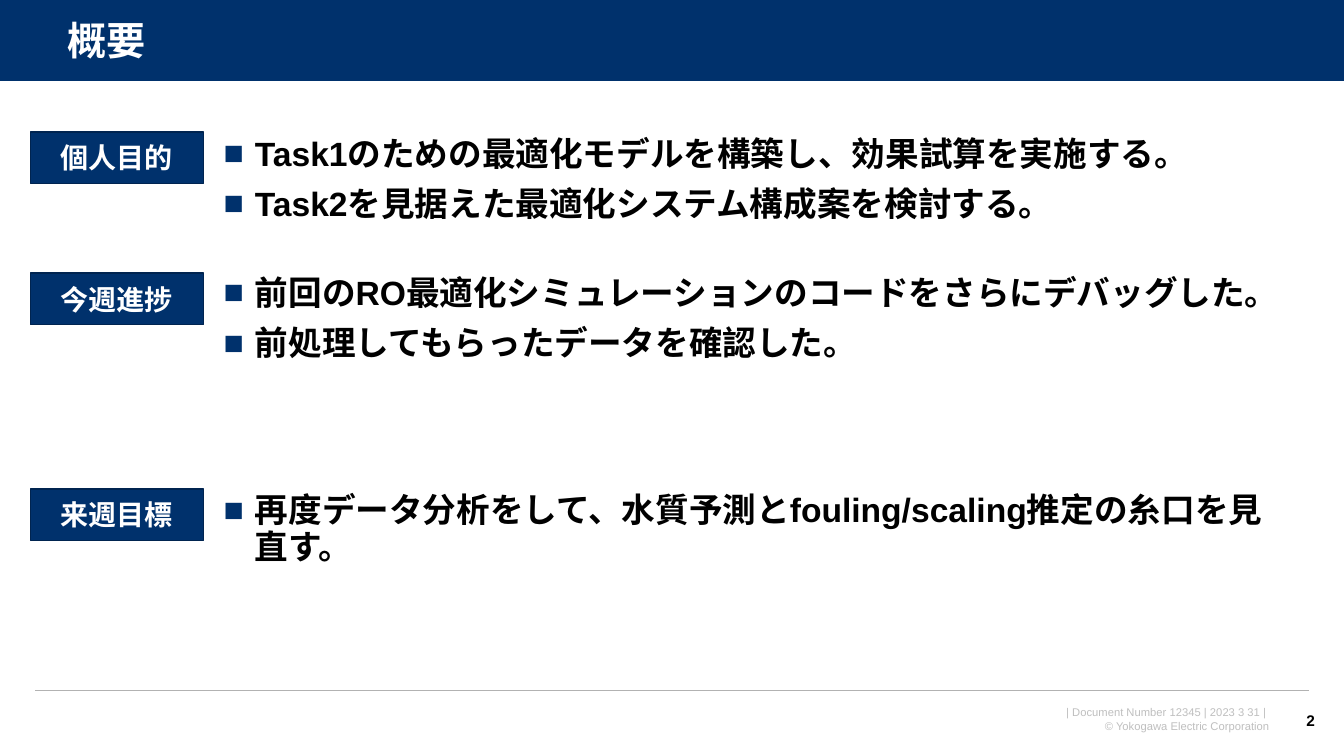
from dataclasses import dataclass

from lxml import etree
from pptx import Presentation
from pptx.dml.color import RGBColor
from pptx.enum.shapes import MSO_CONNECTOR, MSO_SHAPE
from pptx.enum.text import MSO_ANCHOR, PP_ALIGN
from pptx.oxml.ns import qn
from pptx.util import Emu, Inches, Pt

RECT = MSO_SHAPE.RECTANGLE
STRAIGHT = MSO_CONNECTOR.STRAIGHT
TOP, MIDDLE = MSO_ANCHOR.TOP, MSO_ANCHOR.MIDDLE
LEFT, CENTER, RIGHT = PP_ALIGN.LEFT, PP_ALIGN.CENTER, PP_ALIGN.RIGHT

WIDE, HIGH = Inches(13.33), Inches(7.5)
FONT = "Arial"
INDENT = Inches(0.31)
COLORS = {
    "navy": "00316C",
    "edge": "002450",
    "white": "FFFFFF",
    "black": "000000",
    "rule": "B2B2B2",
    "pale": "BFBFBF",
}


@dataclass(frozen=True)
class Box:
    """Left, top, width and height in percent of the slide."""
    left: float
    top: float
    width: float
    height: float

    def place(self) -> tuple[Emu, Emu, Emu, Emu]:
        return (across(self.left), down(self.top),
                across(self.width), down(self.height))


@dataclass(frozen=True)
class Topic:
    label: str
    tag: Box
    body: Box
    points: tuple[str, ...]


def across(share: float) -> Emu:
    return Emu(round(WIDE * share / 100))


def down(share: float) -> Emu:
    return Emu(round(HIGH * share / 100))


def tint(name: str) -> RGBColor:
    return RGBColor.from_string(COLORS[name])


def tag_box(top: float) -> Box:
    return Box(2.25, top, 12.9, 6.8)


TOPICS = (
    Topic("個人目的", tag_box(17.47), Box(15.9, 17.47, 81.85, 11.6), (
        "Task1のための最適化モデルを構築し、効果試算を実施する。",
        "Task2を見据えた最適化システム構成案を検討する。",
    )),
    Topic("今週進捗", tag_box(36.13), Box(15.9, 35.87, 81.85, 11.6), (
        "前回のRO最適化シミュレーションのコードをさらにデバッグした。",
        "前処理してもらったデータを確認した。",
    )),
    Topic("来週目標", tag_box(64.67), Box(15.9, 64.67, 81.02, 14.8), (
        "再度データ分析をして、水質予測とfouling/scaling推定の糸口を見直す。",
    )),
)


def mark(para) -> None:
    """Give the paragraph a navy square bullet with a hanging indent."""
    props = para._p.get_or_add_pPr()
    props.set("marL", str(INDENT))
    props.set("indent", str(-INDENT))
    color = etree.SubElement(props, qn("a:buClr"))
    etree.SubElement(color, qn("a:srgbClr"), val=COLORS["navy"])
    etree.SubElement(props, qn("a:buFont"), typeface=FONT)
    etree.SubElement(props, qn("a:buChar"), char="■")


def write(shape, *lines: str, size: float, color: str, bold: bool = True,
          align=LEFT, anchor=TOP, pitch: float = 1.0, gap: float = 0,
          bullet: bool = False) -> None:
    frame = shape.text_frame
    frame.word_wrap = True
    frame.vertical_anchor = anchor
    for row, line in enumerate(lines):
        para = frame.add_paragraph() if row else frame.paragraphs[0]
        if bullet:
            mark(para)
        para.alignment = align
        para.line_spacing = pitch
        if row:
            para.space_before = Pt(gap)
        run = para.add_run()
        run.text = line
        run.font.name = FONT
        run.font.size = Pt(size)
        run.font.bold = bold
        run.font.color.rgb = tint(color)


def block(slide, box: Box, edge: str = ""):
    shape = slide.shapes.add_shape(RECT, *box.place())
    shape.shadow.inherit = False
    shape.fill.solid()
    shape.fill.fore_color.rgb = tint("navy")
    if edge:
        shape.line.color.rgb = tint(edge)
        shape.line.width = Pt(1)
    else:
        shape.line.fill.background()
    return shape


def rule(slide, start: float, end: float, level: float, color: str,
         width: float) -> None:
    line = slide.shapes.add_connector(
        STRAIGHT, across(start), down(level), across(end), down(level))
    line.line.color.rgb = tint(color)
    line.line.width = Pt(width)
    etree.SubElement(line._element.spPr, qn("a:effectLst"))


def text_box(slide, box: Box):
    return slide.shapes.add_textbox(*box.place())


def frame_page(slide) -> None:
    """Draw the header band, title, footer and page number."""
    write(text_box(slide, Box(71.12, 92.67, 24.08, 4.93)),
          "| Document Number 12345 | 2023 3 31 | ",
          "© Yokogawa Electric Corporation",
          size=8, color="pale", bold=False, align=RIGHT)
    block(slide, Box(0, 0, 100, 10.8))
    rule(slide, 0, 100, 10.8, "white", 0.75)
    rule(slide, 2.63, 97.37, 91.33, "rule", 1)
    write(text_box(slide, Box(4.28, 1.87, 93.55, 7.6)), "概要",
          size=28, color="white", anchor=MIDDLE, pitch=0.9)
    write(text_box(slide, Box(95.27, 92.67, 3.3, 5.33)), "2",
          size=11, color="black", align=RIGHT, anchor=MIDDLE)


def show(slide, topic: Topic) -> None:
    write(block(slide, topic.tag, "edge"), topic.label,
          size=20, color="white", align=CENTER, anchor=MIDDLE)
    write(text_box(slide, topic.body), *topic.points,
          size=24, color="black", pitch=0.9, gap=10, bullet=True)


def main() -> None:
    deck = Presentation()
    deck.slide_width, deck.slide_height = WIDE, HIGH
    slide = deck.slides.add_slide(deck.slide_layouts[6])
    frame_page(slide)
    for topic in TOPICS:
        show(slide, topic)
    deck.save("out.pptx")


if __name__ == "__main__":
    main()
